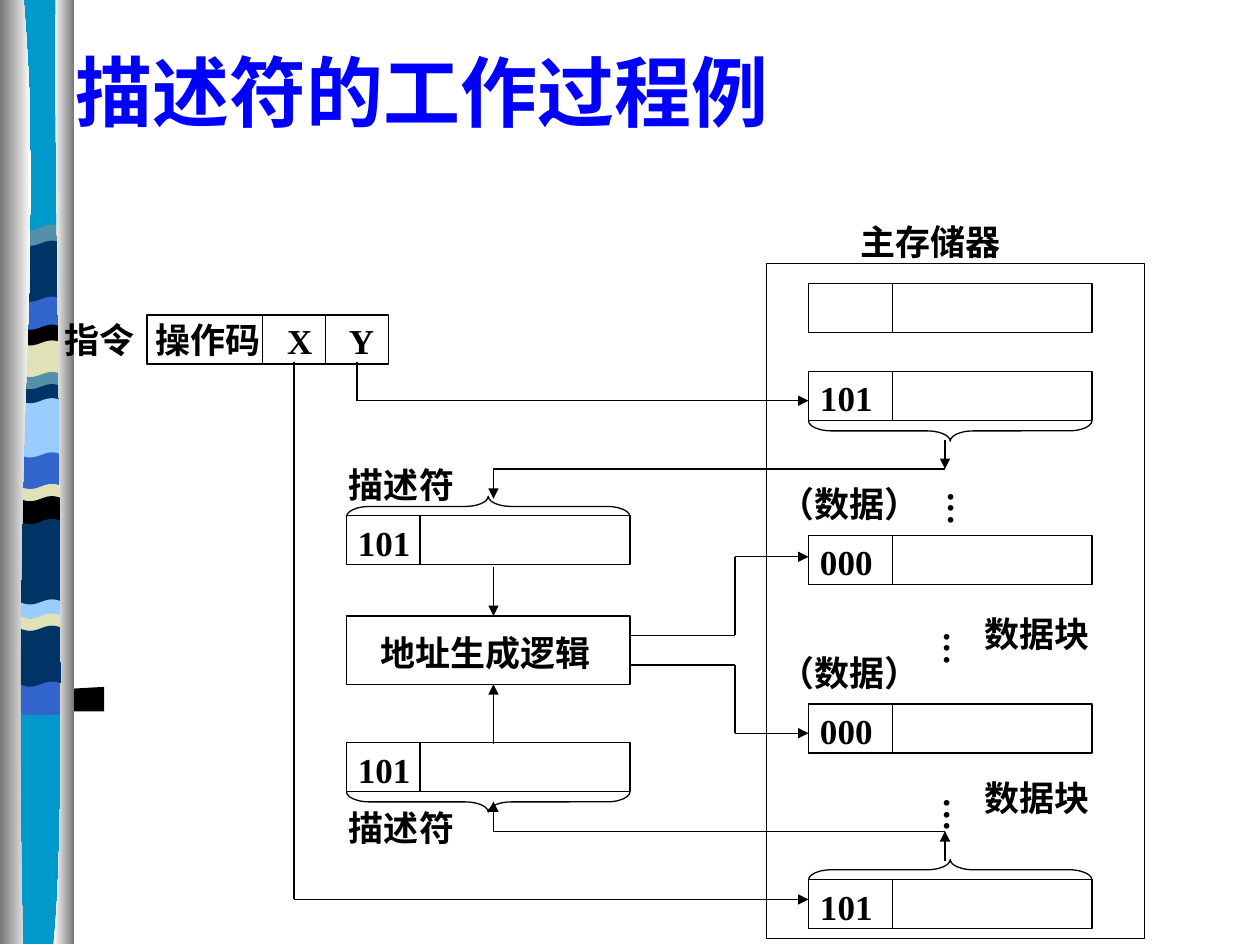
import math

import pptx
import pptx.dml.color
import pptx.enum.shapes
import pptx.enum.text
import pptx.oxml
import pptx.oxml.ns
import pptx.util

Pt = pptx.util.Pt
SHAPES = pptx.enum.shapes.MSO_SHAPE
COLORS = {
    "ink": "000000", "title": "0000FF", "cyan": "0099CC", "teal": "5490A8",
    "sand": "E1E1B7", "blue": "3366CC", "navy": "003366", "sky": "99CCFF",
    "gray": "767676", "white": "FFFFFF",
}
LABEL = {"name": "Times New Roman", "size": Pt(20), "bold": True}
TITLE = {**LABEL, "size": Pt(44)}


def color(name):
    return pptx.dml.color.RGBColor.from_string(COLORS[name])


def bezier(p0, p1, p2, p3, steps=24):
    """Points along a cubic curve, both ends included."""
    curve = []
    for step in range(steps + 1):
        t = step / steps
        weights = ((1 - t) ** 3, 3 * t * (1 - t) ** 2, 3 * t * t * (1 - t), t ** 3)
        curve.append(tuple(sum(w * p[axis] for w, p in zip(weights, (p0, p1, p2, p3)))
                           for axis in (0, 1)))
    return curve


class SlideArtist:
    def __init__(self, slide):
        self.slide = slide
        self.line_width = Pt(0.75)

    def outline(self, preset, x, y, width, height):
        """Unfilled preset shape with a thin black line."""
        shape = self.slide.shapes.add_shape(preset, Pt(x), Pt(y), Pt(width), Pt(height))
        shape.shadow.inherit = False
        shape.fill.background()
        shape.line.color.rgb = color("ink")
        shape.line.width = self.line_width
        return shape

    def box(self, x, y, width, height):
        return self.outline(SHAPES.RECTANGLE, x, y, width, height)

    def brace(self, center_x, center_y, rotation):
        depth, span = 11.7, 162
        shape = self.outline(SHAPES.LEFT_BRACE, center_x - depth / 2,
                             center_y - span / 2, depth, span)
        shape.adjustments[0] = 1.125
        shape.rotation = rotation

    def route(self, *points, arrow=True):
        """Straight connectors through the points, arrowhead on the last one."""
        legs = list(zip(points, points[1:]))
        for start, end in legs:
            leg = self.slide.shapes.add_connector(
                pptx.enum.shapes.MSO_CONNECTOR.STRAIGHT, *map(Pt, start + end))
            leg.line.color.rgb = color("ink")
            leg.line.width = self.line_width
            if arrow and (start, end) == legs[-1]:
                head = pptx.oxml.parse_xml(
                    f'<a:tailEnd {pptx.oxml.ns.nsdecls("a")} type="triangle"/>')
                leg.line._get_or_add_ln().append(head)
            leg._element.spPr.append(
                pptx.oxml.parse_xml(f'<a:effectLst {pptx.oxml.ns.nsdecls("a")}/>'))

    def text(self, words, x, y, width, height=31, style=LABEL, ink="ink",
             wrap=False, vertical=False):
        holder = self.slide.shapes.add_textbox(Pt(x), Pt(y), Pt(width), Pt(height))
        frame = holder.text_frame
        frame.word_wrap = wrap
        if not wrap:
            frame.auto_size = pptx.enum.text.MSO_AUTO_SIZE.SHAPE_TO_FIT_TEXT
        if vertical:
            frame._txBody.bodyPr.set("vert", "eaVert")
        run = frame.paragraphs[0].add_run()
        run.text = words
        for attribute, value in style.items():
            setattr(run.font, attribute, value)
        run.font.color.rgb = color(ink)

    def area(self, points, *fills):
        """Closed outline; two fills make a left-to-right gradient."""
        corners = [(Pt(x), Pt(y)) for x, y in points]
        builder = self.slide.shapes.build_freeform(*corners[0], scale=1.0)
        builder.add_line_segments(corners[1:], close=True)
        shape = builder.convert_to_shape()
        shape.shadow.inherit = False
        shape.line.fill.background()
        if len(fills) == 1:
            shape.fill.solid()
            shape.fill.fore_color.rgb = color(fills[0])
        else:
            shape.fill.gradient()
            shape.fill.gradient_angle = 0
            for stop, fill in zip(shape.fill.gradient_stops, fills):
                stop.color.rgb = color(fill)


def draw_side_ribbon(artist):
    left, right, bottom = 11, 36, 539.5
    artist.area([(7, 0), (37, 0), (37, bottom), (7, bottom)], "cyan")
    bands = [(130, "teal"), (139, "navy"), (171, "blue"), (187, "ink"),
             (196, "sand"), (214, "teal"), (221, "navy"), (229, "sky"),
             (260, "blue"), (278, "sand"), (285, "ink"), (298, "navy"),
             (344, "sky"), (352, "sand"), (359, "navy"), (391, "blue")]
    ends = [top for top, _ in bands[1:]] + [407]
    for (top, fill), end in zip(bands, ends):
        crest = [(left + (right - left) * i / 12, top + 1.5 * math.sin(math.pi * i / 6))
                 for i in range(13)]
        artist.area(crest + [(right, end + 1.5), (left, end + 1.5)], fill)
    artist.area([(42, 393.5), (59.5, 392.5), (59.5, 406.5), (42, 406.5)], "ink")
    artist.area(bezier((13.5, 0), (26, 156), (6, 213), (13, bottom))
                + [(0, bottom), (0, 0)], "gray", "white")
    artist.area(bezier((32, 0), (30, 90), (40.5, 465), (30.5, bottom))
                + [(42.5, bottom), (42.5, 0)], "white", "gray")


def draw_records(artist):
    """Two-field records: a tag beside a wide, empty field."""
    width, height = 162, 28
    memory_x, register_x = 462, 198
    records = [(memory_x, 162, 48, ""), (memory_x, 212.4, 48, "101"),
               (memory_x, 306, 48, "000"), (memory_x, 402.3, 48, "000"),
               (memory_x, 502.7, 48, "101"), (register_x, 294.7, 42, "101"),
               (register_x, 424.5, 42, "101")]
    for x, y, tag_width, tag in records:
        artist.box(x, y, width, height)
        artist.route((x + tag_width, y), (x + tag_width, y + height), arrow=False)
        if tag:
            artist.text(tag, x - 0.5, y - 0.5, 45)
    for x, y, rotation in [(279, 289.4, 90), (279, 458.2, 270),
                           (543, 497, 90), (543, 246.2, 270)]:
        artist.brace(x, y, rotation)


def draw_routes(artist):
    artist.route((204, 206.6), (204, 229), (462, 229))
    artist.route((168, 206.6), (168, 514), (462, 514))
    artist.route((540, 251.3), (540, 268))
    artist.route((540, 268), (282, 268), (282, 285))
    artist.route((282, 324), (282, 352))
    artist.route((282, 425), (282, 391))
    artist.route((540, 492), (540, 475))
    artist.route((540, 475), (282, 475), (282, 458))
    for exit_y, entry_y in [(363, 318.2), (380, 419)]:
        artist.route((360, exit_y), (420, exit_y), (420, entry_y), (462, entry_y))


def main():
    deck = pptx.Presentation()
    deck.slide_width, deck.slide_height = Pt(720), Pt(540)
    artist = SlideArtist(deck.slides.add_slide(deck.slide_layouts[6]))
    draw_side_ribbon(artist)
    artist.text("描述符的工作过程例", 36, 22, 648, 90, TITLE, "title", wrap=True)

    for x, width in [(84, 66), (150, 36), (186, 36)]:
        artist.box(x, 180, width, 28)
    artist.box(198, 352, 162, 39)
    artist.box(438, 150.5, 216, 386)
    draw_records(artist)
    for words, x, y, width in [
            ("指令", 30, 178.6, 56), ("操作码", 81.6, 178.6, 76),
            ("X", 157, 179.3, 29), ("Y", 192.3, 179.3, 29),
            ("描述符", 192.3, 261.4, 76), ("描述符", 192.3, 457.2, 76),
            ("地址生成逻辑", 210.3, 357.1, 136), ("主存储器", 484.6, 122.4, 96),
            ("（数据）", 438.5, 272.2, 96), ("（数据）", 438.5, 368.6, 96),
            ("数据块", 555.4, 346.3, 76), ("数据块", 555.4, 440, 76)]:
        artist.text(words, x, y, width)
    for x, y in [(522, 273.6), (519.8, 353.5), (519.8, 448.6)]:
        artist.text("···", x, y, 38.2, 22.3, vertical=True)
    draw_routes(artist)
    deck.save("out.pptx")


if __name__ == "__main__":
    main()
